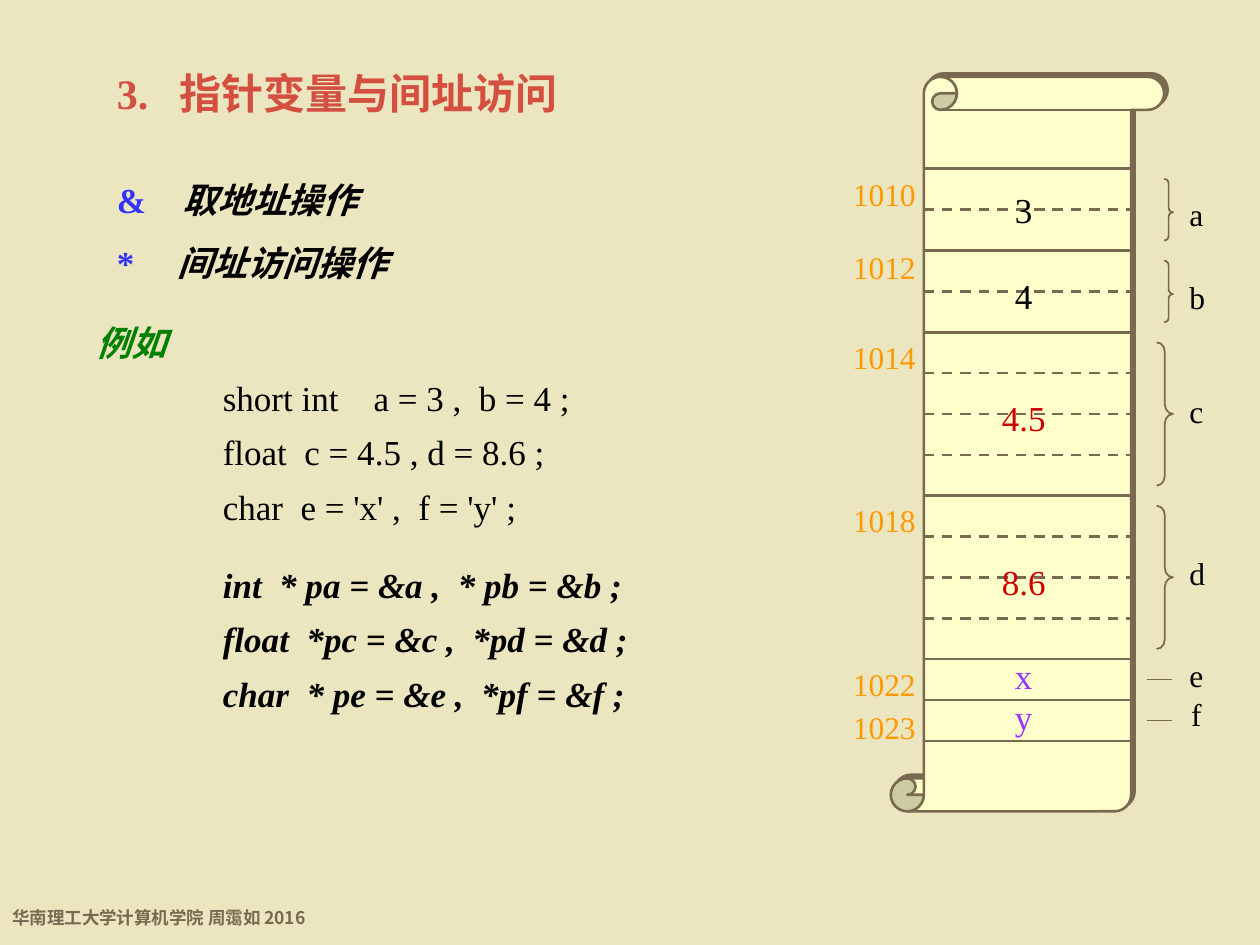
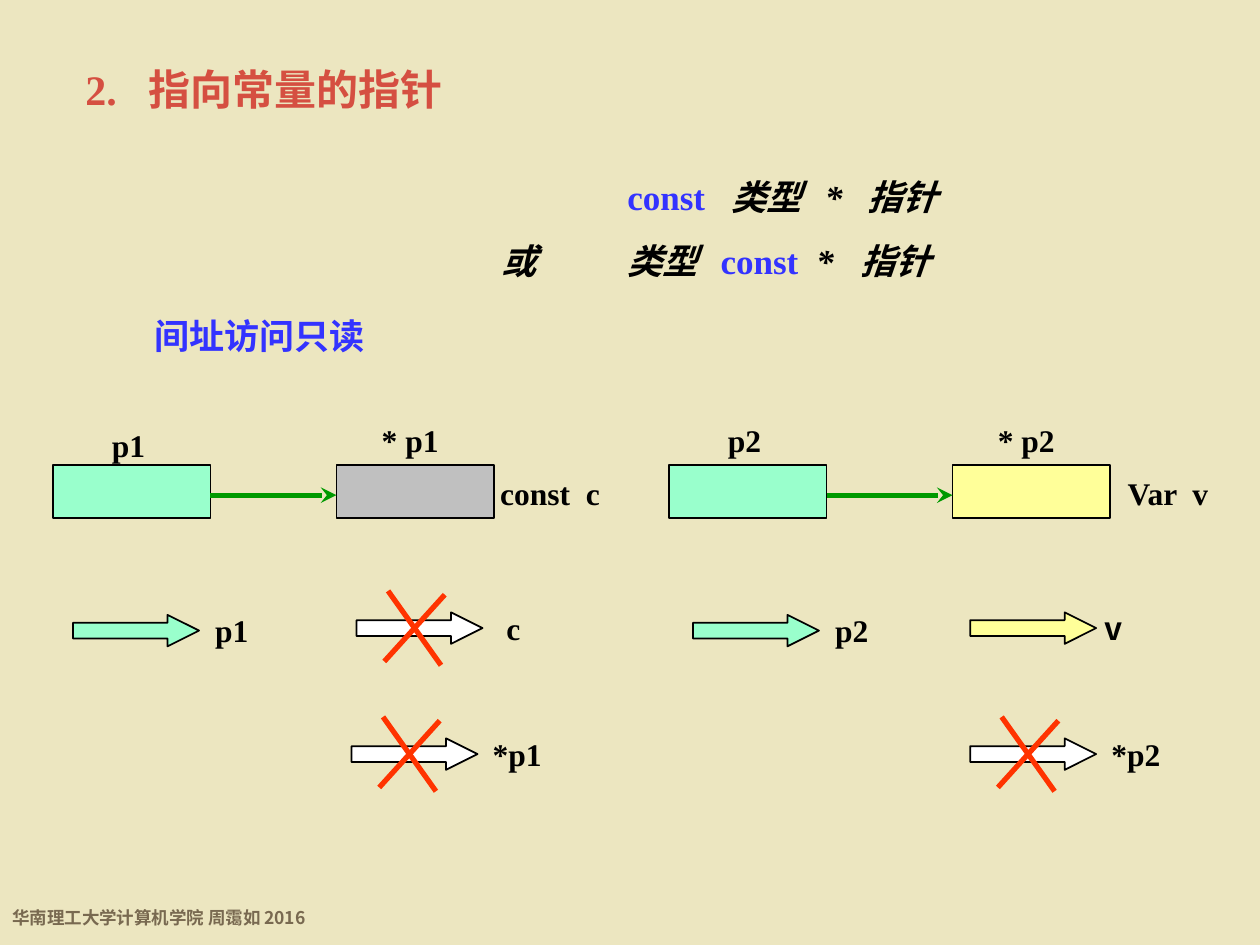
import pptx
import pptx.dml.color
import pptx.enum.dml
import pptx.enum.shapes
import pptx.enum.text
import pptx.oxml.ns
import pptx.util
from lxml import etree

Inches = pptx.util.Inches
Pt = pptx.util.Pt
SHAPE = pptx.enum.shapes.MSO_SHAPE
ALIGN = pptx.enum.text.PP_ALIGN
ANCHOR = pptx.enum.text.MSO_ANCHOR
FIT = pptx.enum.text.MSO_AUTO_SIZE
qn = pptx.oxml.ns.qn

COLORS = {
    "sand": "ECE6C0", "brown": "786950", "title": "D54F41", "black": "000000",
    "blue": "3333FF", "example": "008000", "paper": "FFFFCC", "address": "FF9900",
    "real": "CC0000", "char": "9933FF", "mint": "99FFCC", "gray": "C0C0C0",
    "yellow": "FFFF99", "white": "FFFFFF", "link": "009900", "cross": "FF3300",
}
SERIF = "Times New Roman"
SANS = "Noto Sans CJK SC"


def rgb(name):
    """Return the palette colour with this name."""
    return pptx.dml.color.RGBColor.from_string(COLORS[name])


def add_run(p, text, size, color, bold, italic, font):
    """Append one formatted run to a paragraph, with Chinese glyphs in the sans font."""
    r = p.add_run()
    r.text = text
    r.font.size = Pt(size)
    r.font.bold = bold
    r.font.italic = italic
    r.font.color.rgb = rgb(color)
    r.font.name = font
    etree.SubElement(r._r.get_or_add_rPr(), qn("a:ea"), typeface=SANS)


def add_text(s, box, lines, size=18, color="black", bold=False, italic=False, font=SERIF,
             align=ALIGN.LEFT, anchor=ANCHOR.MIDDLE, wrap=False, spacing=None, before=0,
             tabs=(), indents=()):
    """Add a text box; each line is a string or a list of (text, overrides) runs."""
    sp = s.shapes.add_textbox(*map(Inches, box))
    tf = sp.text_frame
    tf.word_wrap = wrap
    tf.auto_size = FIT.NONE if wrap else FIT.SHAPE_TO_FIT_TEXT
    tf.vertical_anchor = anchor
    base = dict(size=size, color=color, bold=bold, italic=italic, font=font)
    for i, line in enumerate([lines] if isinstance(lines, str) else lines):
        p = tf.add_paragraph() if i else tf.paragraphs[0]
        p.alignment = align
        if spacing:
            p.line_spacing = spacing
        if i and before:
            p.space_before = Pt(before)
        pPr = p._p.get_or_add_pPr()
        if indents:
            pPr.set("marL", str(Inches(indents[i])))
        if tabs:
            stops = etree.SubElement(pPr, qn("a:tabLst"))
            for stop in tabs[i]:
                etree.SubElement(stops, qn("a:tab"), pos=str(Inches(stop)), algn="l")
        for text, change in [(line, {})] if isinstance(line, str) else line:
            add_run(p, text, **{**base, **change})
    return sp


def add_shape(s, kind, box, fill=None, line="black", width=1, adjust=()):
    """Add a preset shape without shadow."""
    sp = s.shapes.add_shape(kind, *map(Inches, box))
    sp.shadow.inherit = False
    for i, value in enumerate(adjust):
        sp.adjustments[i] = value
    if fill:
        sp.fill.solid()
        sp.fill.fore_color.rgb = rgb(fill)
    else:
        sp.fill.background()
    sp.line.color.rgb = rgb(line)
    sp.line.width = Pt(width)
    return sp


def add_line(s, x1, y1, x2, y2, color, width, dash=False, arrow=False):
    """Add a straight connector."""
    c = s.shapes.add_connector(pptx.enum.shapes.MSO_CONNECTOR.STRAIGHT,
                               *map(Inches, (x1, y1, x2, y2)))
    c.line.color.rgb = rgb(color)
    c.line.width = Pt(width)
    if dash:
        c.line.dash_style = pptx.enum.dml.MSO_LINE.DASH
    if arrow:
        etree.SubElement(c.line._get_or_add_ln(), qn("a:tailEnd"), type="stealth")
    etree.SubElement(c._element.spPr, qn("a:effectLst"))


def new_slide(prs, title, title_box):
    """Add a slide with the shared background, footer and title."""
    s = prs.slides.add_slide(prs.slide_layouts[6])
    s.background.fill.solid()
    s.background.fill.fore_color.rgb = rgb("sand")
    add_text(s, (0, 7.08, 2.66, 0.34), "华南理工大学计算机学院 周霭如 2016", size=10,
             color="brown", bold=True, font=SANS, anchor=ANCHOR.TOP, spacing=1.4)
    add_text(s, title_box, title, size=24, color="title", bold=True, wrap=True, tabs=[[0.5]])
    return s


def memory_scroll(s, x, y):
    """Draw the memory scroll with its cells, addresses and variable names."""
    scroll = add_shape(s, SHAPE.VERTICAL_SCROLL, (x, y, 2.17, 5.83), "paper", "brown", 1.5,
                       [0.121])
    effects = scroll._element.spPr.find(qn("a:effectLst"))
    shadow = etree.SubElement(effects, qn("a:outerShdw"), dist=str(Pt(2.8)), dir="18900000",
                              algn="ctr", rotWithShape="0")
    etree.SubElement(shadow, qn("a:srgbClr"), val=COLORS["brown"])

    byte = 4.54 / 14
    left, right = x + 0.26, x + 1.9
    variables = [
        ("a", "3", "1010", 2, "black", 0.89, 0.84, 0.73),
        ("b", "4", "1012", 2, "black", 1.55, 1.52, 1.31),
        ("c", "4.5", "1014", 4, "real", 2.45, 2.49, 2.02),
        ("d", "8.6", "1018", 4, "real", 3.74, 3.79, 3.32),
        ("e", "x", "1022", 1, "char", 4.55, 4.54, 4.62),
        ("f", "y", "1023", 1, "char", 4.86, 4.86, 4.96),
    ]
    top = y + 0.73
    add_line(s, left, top, right, top, "brown", 1.5)
    for name, value, address, count, color, name_dy, value_dy, address_dy in variables:
        for i in range(1, count + 1):
            row = top + i * byte
            add_line(s, left, row, right, row, "brown", 1.5, dash=i < count)
        height = count * byte
        if count == 1:
            middle = top + height / 2
            add_line(s, x + 2.03, middle, x + 2.23, middle, "brown", 1)
        else:
            width, adjust = (0.07, (0.5, 0.542)) if count == 2 else (0.13, (0.583, 0.5))
            add_shape(s, SHAPE.RIGHT_BRACE, (x + 2.24 - width, top + 0.08, width, height - 0.16),
                      None, "brown", 1, adjust)
        add_text(s, (x + 2.27, y + name_dy, 0.31, 0.4), name, align=ALIGN.CENTER)
        add_text(s, (x - 0.4, y + address_dy, 0.7, 0.4), address, color="address")
        add_text(s, (x + 0.78, y + value_dy, 0.55, 0.43), value, size=20, color=color,
                 align=ALIGN.CENTER)
        top += height


def operators_and_code(s, x, y):
    """Write the two operators and the sample declarations."""
    sign = dict(color="blue", italic=False)
    add_text(s, (x + 0.16, y, 4.25, 1.1),
             [[("&\t", sign), ("取地址操作", {})], [("*\t", sign), ("间址访问操作", {})]],
             size=20, bold=True, italic=True, anchor=ANCHOR.TOP, wrap=True, spacing=1.5,
             tabs=[[0.52], [0.48]])
    heading = dict(color="example", bold=True, italic=True)
    add_text(s, (x, y + 1.2, 4, 1.84),
             [[("例如", heading)], "short int    a = 3 ,  b = 4 ;",
              "float  c = 4.5 , d = 8.6 ;", "char  e = 'x' ,  f = 'y' ;"],
             size=20, wrap=True, spacing=1.3, indents=(0, 1, 1, 1))
    add_text(s, (x, y + 3.12, 4.42, 1.4),
             ["int  * pa = &a ,  * pb = &b ;", "float  *pc = &c ,  *pd = &d ;",
              "char  * pe = &e ,  *pf = &f ;"],
             size=20, bold=True, italic=True, wrap=True, spacing=1.3, indents=(1, 1, 1))


def const_syntax(s, x, y):
    """Write both forms of the declaration and the remark on them."""
    const = dict(color="blue", italic=False)
    add_text(s, (x, y, 3.79, 1),
             [[("\t", {}), ("const\t", const), ("类型\t*\t指针", {})],
              [("或\t类型\t", {}), ("const\t", const), ("*\t指针", {})]],
             size=20, bold=True, italic=True, anchor=ANCHOR.TOP, wrap=True, spacing=1.1,
             before=10, tabs=[[1, 1.83, 2.57, 2.91], [1, 1.74, 2.5, 2.85]])
    add_text(s, (x - 2.75, y + 1.14, 1.87, 0.43), "间址访问只读", size=20, color="blue",
             bold=True, anchor=ANCHOR.TOP)


def access_arrow(s, x, y, fill, label, label_dx, label_width, crossed=False, font=SERIF):
    """Draw a block arrow with its label, crossed out if access is denied."""
    add_shape(s, SHAPE.RIGHT_ARROW, (x, y, 1, 0.25), fill, adjust=(0.5, 1))
    add_text(s, (x + label_dx, y - 0.08, label_width, 0.4), label, bold=True, font=font,
             align=ALIGN.CENTER)
    if crossed:
        add_line(s, x + 0.25, y - 0.17, x + 0.67, y + 0.42, "cross", 3)
        add_line(s, x + 0.22, y + 0.39, x + 0.7, y - 0.14, "cross", 3)


def pointer_panel(s, x, y, pointer, target_fill, pointer_dy, target_label, arrows):
    """Draw a pointer, its target and the accesses it allows."""
    add_shape(s, SHAPE.FLOWCHART_PROCESS, (x, y, 1.25, 0.42), "mint")
    add_shape(s, SHAPE.FLOWCHART_PROCESS, (x + 2.25, y, 1.25, 0.42), target_fill)
    add_line(s, x + 1.25, y + 0.24, x + 2.25, y + 0.24, "link", 3, arrow=True)
    label_text, label_dx, label_width = target_label
    labels = [(pointer, 0.35, pointer_dy, 0.5), ("* " + pointer, 2.51, -0.4, 0.65),
              (label_text, label_dx, 0.02, label_width)]
    for text, dx, dy, width in labels:
        add_text(s, (x + dx, y + dy, width, 0.4), text, bold=True, align=ALIGN.CENTER)
    for dx, dy, fill, *label in arrows:
        access_arrow(s, x + dx, y + dy, fill, *label)


def main():
    """Build both slides and save the presentation."""
    prs = pptx.Presentation()
    prs.slide_width, prs.slide_height = Inches(10), Inches(7.5)

    s = new_slide(prs, "3.\t指针变量与间址访问", (0.83, 0.36, 8.25, 0.75))
    operators_and_code(s, 0.67, 1.2)
    memory_scroll(s, 7.07, 0.61)

    s = new_slide(prs, "2.\t指向常量的指针", (0.58, 0.33, 8.92, 0.75))
    const_syntax(s, 3.88, 1.31)
    pointer_panel(s, 0.42, 3.69, "p1", "gray", -0.36, ("const  c", 3.45, 0.99), [
        (0.16, 1.19, "mint", "p1", 1.01, 0.5),
        (2.41, 1.17, "white", "c", 1.09, 0.31, True),
        (2.37, 2.17, "white", "*p1", 1.02, 0.59, True)])
    pointer_panel(s, 5.31, 3.69, "p2", "yellow", -0.4, ("Var  v", 3.53, 0.86), [
        (0.19, 1.19, "mint", "p2", 1.01, 0.5),
        (2.39, 1.17, "yellow", "v", 0.97, 0.32, False, SANS),
        (2.39, 2.17, "white", "*p2", 1.02, 0.59, True)])
    prs.save("out.pptx")


if __name__ == "__main__":
    main()
